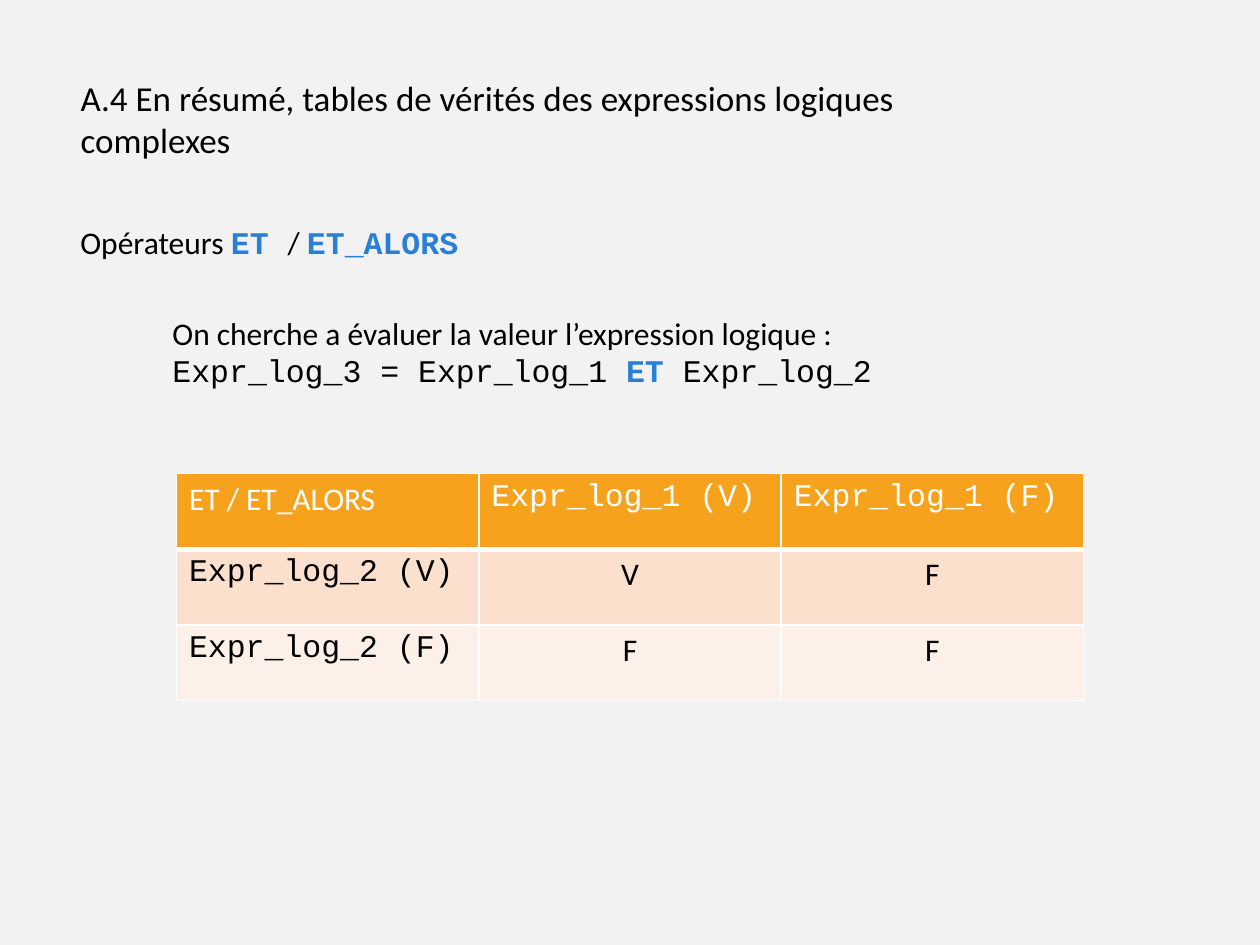
"""Build the truth table slide for the ET / ET_ALORS operators."""
from dataclasses import dataclass

from lxml import etree
from pptx import Presentation
from pptx.dml.color import RGBColor
from pptx.enum.text import MSO_ANCHOR, MSO_AUTO_SIZE, PP_ALIGN
from pptx.oxml.ns import qn
from pptx.util import Inches, Pt

TOP = MSO_ANCHOR.TOP
FIT = MSO_AUTO_SIZE.SHAPE_TO_FIT_TEXT
LEFT, MID = PP_ALIGN.LEFT, PP_ALIGN.CENTER


@dataclass(frozen=True)
class Theme:
    back: str = "F2F2F2"
    ink: str = "000000"
    blue: str = "297FD5"
    white: str = "FFFFFF"
    rows: tuple = ("F6A21D", "FBE0CD", "FDF0E8")
    sans: str = "Calibri"
    mono: str = "Courier New"
    head: int = 20
    body: int = 18


theme = Theme()


def write(para, text, font=theme.sans, size=theme.body, color=theme.ink, bold=False):
    run = para.add_run()
    run.text = text
    run.font.name = font
    run.font.size = Pt(size)
    run.font.bold = bold
    run.font.color.rgb = RGBColor.from_string(color)


def edge(cell, side, width):
    line = etree.SubElement(cell._tc.get_or_add_tcPr(), qn(f"a:ln{side}"), w=str(Pt(width)))
    fill = etree.SubElement(line, qn("a:solidFill"))
    etree.SubElement(fill, qn("a:srgbClr"), val=theme.white)


deck = Presentation()
deck.slide_width, deck.slide_height = Inches(10), Inches(7.5)
slide = deck.slides.add_slide(deck.slide_layouts[5])
slide.background.fill.solid()
slide.background.fill.fore_color.rgb = RGBColor.from_string(theme.back)

title = slide.shapes.title
title.left, title.top = Inches(0.54), Inches(0.56)
title.width, title.height = Inches(7.82), Inches(0.77)
frame = title.text_frame
frame.word_wrap, frame.auto_size, frame.vertical_anchor = True, FIT, TOP
frame.paragraphs[0].alignment = LEFT
write(frame.paragraphs[0], "A.4 En résumé, tables de vérités des expressions logiques complexes",
      size=theme.head)

key = {"font": theme.mono, "color": theme.blue, "bold": True}
code = {"font": theme.mono}
notes = [
    ((0.54, 1.72, 5.2, 0.4), [
        [("Opérateurs ", {}), ("ET ", key), ("/ ", {}), ("ET_ALORS", key)],
    ]),
    ((1.27, 2.44, 6.68, 0.71), [
        [("On cherche a évaluer la valeur l’expression logique :", {})],
        [("Expr_log_3 = Expr_log_1 ", code), ("ET ", key), ("Expr_log_2", code)],
    ]),
]
for place, lines in notes:
    frame = slide.shapes.add_textbox(*map(Inches, place)).text_frame
    frame.word_wrap, frame.auto_size = True, FIT
    for i, line in enumerate(lines):
        para = frame.add_paragraph() if i else frame.paragraphs[0]
        for text, style in line:
            write(para, text, **style)

truth = [
    ["ET / ET_ALORS", "Expr_log_1 (V)", "Expr_log_1 (F)"],
    ["Expr_log_2 (V)", "V", "F"],
    ["Expr_log_2 (F)", "F", "F"],
]
table = slide.shapes.add_table(3, 3, Inches(1.4), Inches(3.76), Inches(7.2), Inches(1.8)).table
for r, row in enumerate(truth):
    table.rows[r].height = Inches(0.6)
    for c, text in enumerate(row):
        cell = table.cell(r, c)
        for side in "LRTB":
            edge(cell, side, 3 if r == 0 and side == "B" else 1)
        cell.fill.solid()
        cell.fill.fore_color.rgb = RGBColor.from_string(theme.rows[r])
        para = cell.text_frame.paragraphs[0]
        para.alignment = MID if r and c else LEFT
        write(para, text, font=theme.mono if text.startswith("Expr") else theme.sans,
              color=theme.ink if r else theme.white)

deck.save("out.pptx")
